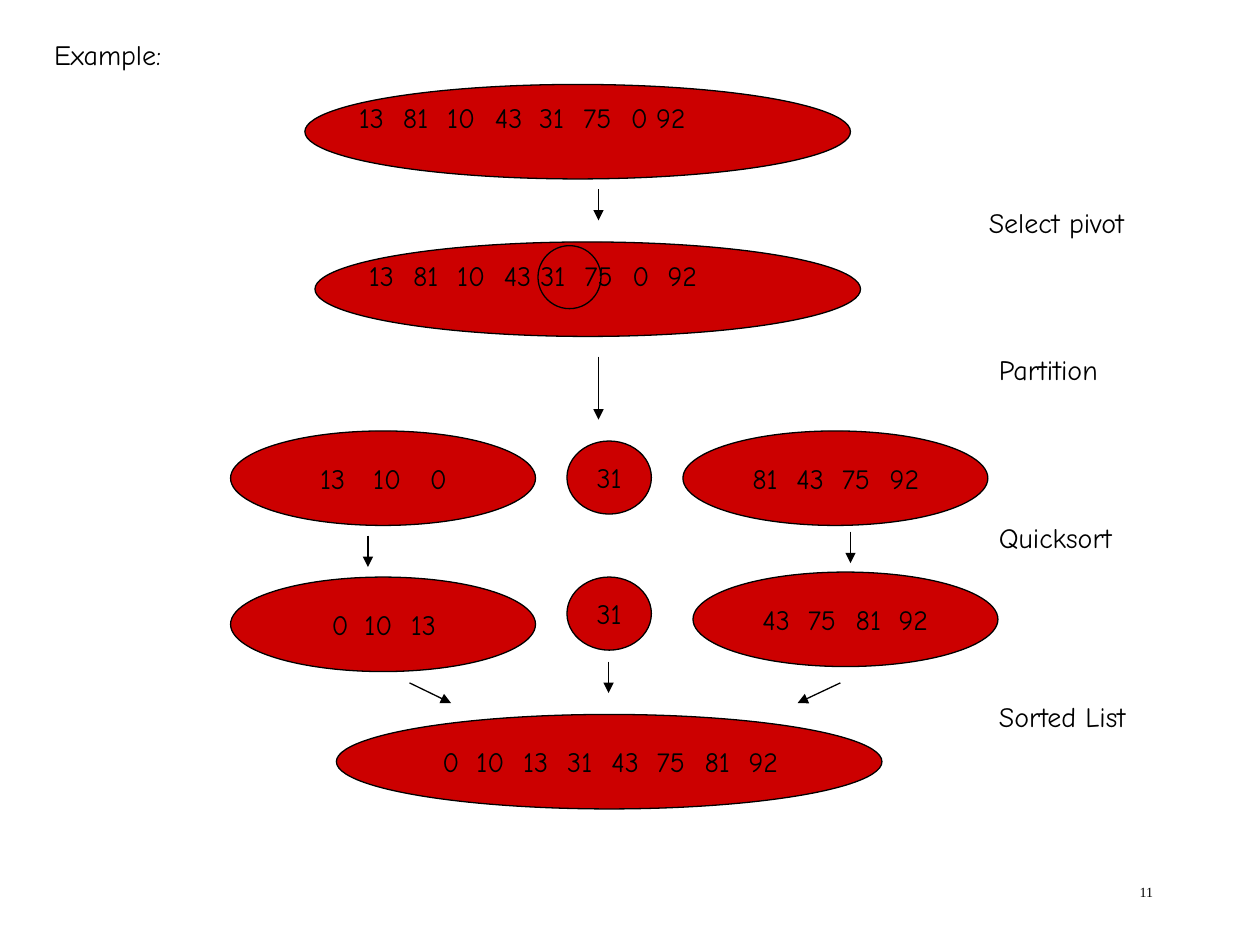
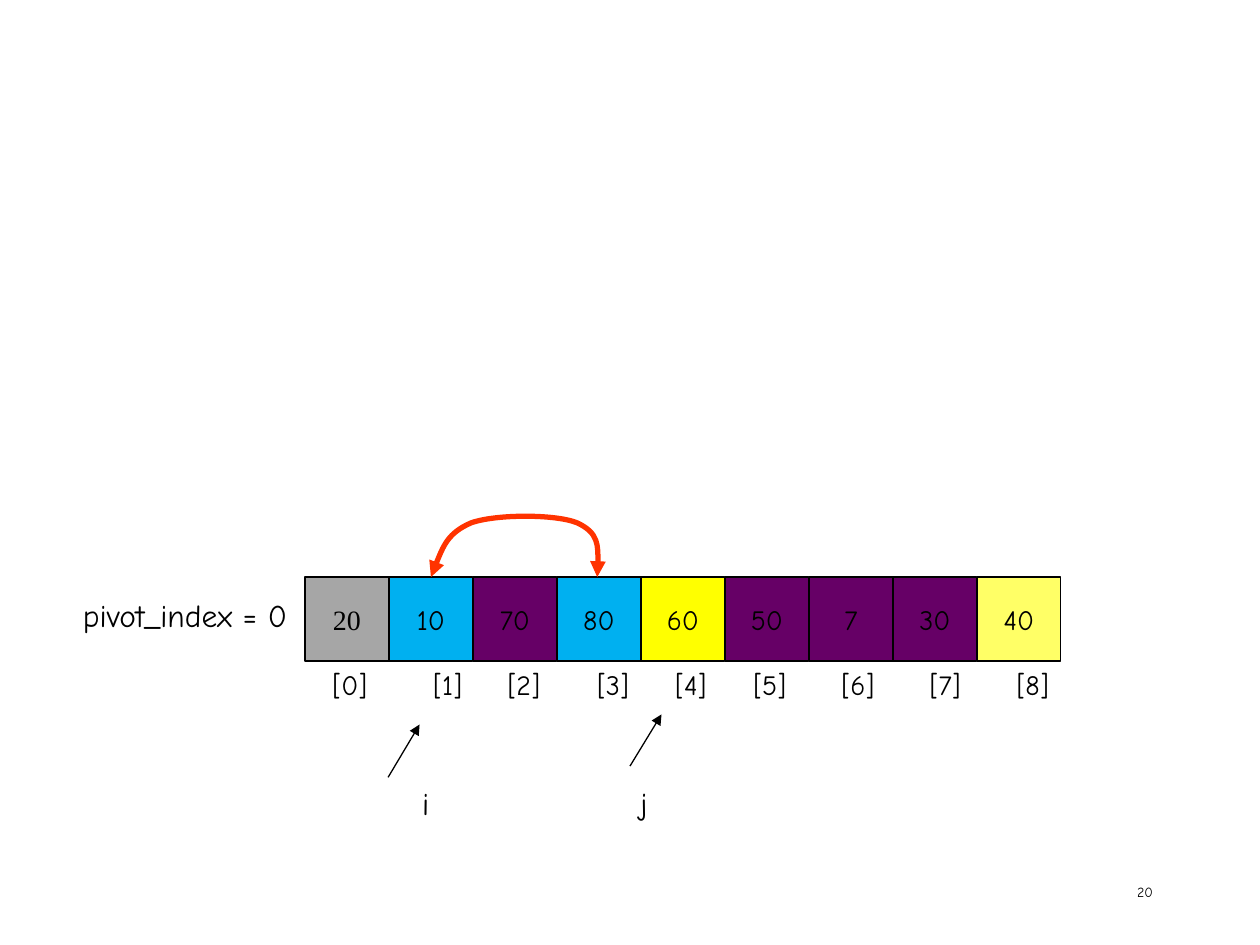
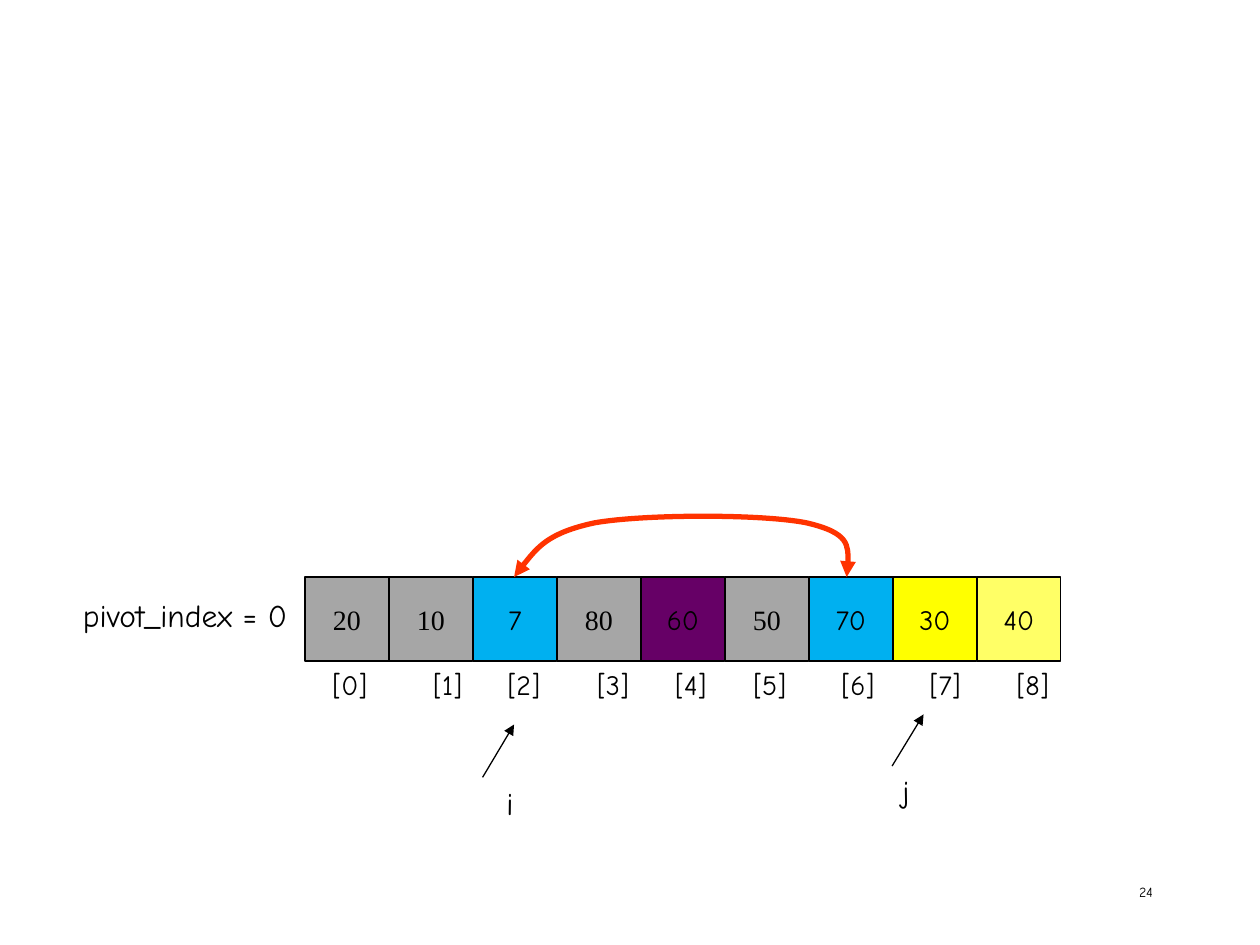
from itertools import chain

from lxml.etree import SubElement
from pptx import Presentation
from pptx.dml.color import RGBColor
from pptx.enum.shapes import MSO_CONNECTOR, MSO_SHAPE
from pptx.enum.text import MSO_ANCHOR, MSO_AUTO_SIZE, PP_ALIGN
from pptx.oxml.ns import qn
from pptx.util import Inches, Pt

THEME = {
    "font": "Comic Neue",
    "serif": "Times New Roman",
    "text": Pt(16),
    "label": Pt(18),
    "number": Pt(8),
    "thin": Pt(0.75),
    "thick": Pt(3),
    "ink": RGBColor.from_string("000000"),
    "list": RGBColor.from_string("CC0000"),
    "swap_arrow": RGBColor.from_string("FF3300"),
    "done": RGBColor.from_string("A6A6A6"),
    "swap": RGBColor.from_string("00B0F0"),
    "open": RGBColor.from_string("660066"),
    "current": RGBColor.from_string("FFFF00"),
    "last": RGBColor.from_string("FFFF66"),
}


def write(shape, text, size="text", font="font", align=PP_ALIGN.LEFT,
          anchor=MSO_ANCHOR.TOP, wrap=True, indent=0.1, stops=()):
    frame = shape.text_frame
    frame_format = {
        "auto_size": MSO_AUTO_SIZE.NONE,
        "word_wrap": wrap,
        "vertical_anchor": anchor,
        "margin_left": Inches(indent),
        "margin_right": Inches(0 if stops else 0.1),
        "margin_top": Inches(0.05),
        "margin_bottom": Inches(0.05),
    }
    for name, value in frame_format.items():
        setattr(frame, name, value)
    paragraph = frame.paragraphs[0]
    paragraph.alignment = align
    if stops:
        tab_list = SubElement(paragraph._p.get_or_add_pPr(), qn("a:tabLst"))
        for stop in stops[1:]:
            SubElement(tab_list, qn("a:tab"), pos=str(Inches(stop - stops[0])), algn="l")
    run = paragraph.add_run()
    run.text = "\t".join(text.split()) if stops else text
    for name, value in {"name": THEME[font], "size": THEME[size]}.items():
        setattr(run.font, name, value)
    run.font.color.rgb = THEME["ink"]


def draw_line(shape, color, width, ends=()):
    shape.line.width = THEME[width]
    shape.line.color.rgb = THEME[color]
    properties = shape._element.spPr
    for end in ends:
        SubElement(properties.find(qn("a:ln")), qn(f"a:{end}"), type="triangle")
    SubElement(properties, qn("a:effectLst"))


presentation = Presentation()
presentation.slide_width = Inches(10)
presentation.slide_height = Inches(7.5)

example = presentation.slides.add_slide(presentation.slide_layouts[5])
title = example.shapes.title
for name, value in {"left": 0.33, "top": 0.25, "width": 1.92, "height": 0.37}.items():
    setattr(title, name, Inches(value))
write(title, "Example:")

WIDE, HALF, PIVOT, MARK = (4.33, 0.75), (2.42, 0.75), (0.67, 0.58), (0.5, 0.5)
ellipses = [
    (2.42, 0.67, WIDE, "", ()),
    (2.5, 1.92, WIDE, "", ()),
    (4.27, 1.95, MARK, "", ()),
    (1.83, 3.42, HALF, "13 10 0", (2.54, 2.96, 3.41)),
    (4.5, 3.5, PIVOT, "31", ()),
    (5.42, 3.42, HALF, "81 43 75 92", (5.97, 6.32, 6.68, 7.06)),
    (1.83, 4.58, HALF, "0 10 13", (2.63, 2.89, 3.26)),
    (4.5, 4.58, PIVOT, "31", ()),
    (5.5, 4.54, HALF, "43 75 81 92", (6.05, 6.41, 6.79, 7.13)),
    (2.67, 5.67, WIDE, "0 10 13 31 43 75 81 92",
     (3.51, 3.78, 4.15, 4.5, 4.85, 5.21, 5.59, 5.94)),
]
for left, top, (width, height), numbers, stops in ellipses:
    ellipse = example.shapes.add_shape(
        MSO_SHAPE.OVAL, Inches(left), Inches(top), Inches(width), Inches(height))
    ellipse.fill.solid()
    ellipse.fill.fore_color.rgb = THEME["list"]
    draw_line(ellipse, "ink", "thin")
    if stops:
        text_left = left + width * 0.146
        write(ellipse, numbers, anchor=MSO_ANCHOR.MIDDLE,
              indent=stops[0] - text_left, stops=stops)
    elif numbers:
        write(ellipse, numbers, align=PP_ALIGN.CENTER, anchor=MSO_ANCHOR.MIDDLE, wrap=False)

captions = [
    (2.75, 0.75, 4.17, "13 81 10 43 31 75 0 92",
     (2.85, 3.2, 3.55, 3.93, 4.28, 4.63, 5.01, 5.21)),
    (2.83, 2, 4, "13 81 10 43 31 75 0 92",
     (2.93, 3.28, 3.63, 4, 4.29, 4.64, 5.02, 5.3)),
    (7.75, 1.58, 2.5, "Select pivot", ()),
    (7.83, 2.75, 2.5, "Partition", ()),
    (7.83, 4.08, 2.5, "Quicksort", ()),
    (7.83, 5.5, 2.08, "Sorted List", ()),
]
for left, top, width, text, stops in captions:
    caption = example.shapes.add_textbox(
        Inches(left), Inches(top), Inches(width), Inches(0.37))
    write(caption, text, stops=stops)

example_arrows = [
    (4.75, 1.5, 4.75, 1.75),
    (4.75, 2.83, 4.75, 3.33),
    (2.92, 4.25, 2.92, 4.5),
    (6.75, 4.22, 6.75, 4.47),
    (3.25, 5.42, 3.58, 5.58),
    (6.67, 5.42, 6.33, 5.58),
    (4.83, 5.25, 4.83, 5.5),
]

CELL = 2 / 3
ROW_LEFT, ROW_TOP = 2.42, 4.58
INDEX_STOPS = (2.64, 3.44, 4.03, 4.74, 5.36, 5.98, 6.68, 7.38, 8.07)
CURVE = [(0, 0.5), (0.05, 0.32), (0.1, 0.15), (0.24, 0.07), (0.39, 0),
         (0.74, 0), (0.87, 0.07), (1, 0.15), (1, 0.32), (0.99, 0.5)]
steps = [
    {
        "values": [20, 10, 70, 80, 60, 50, 7, 30, 40],
        "states": "done swap open swap current open open open last",
        "swap": (3.42, 2 * CELL),
        "pointers": [("i", 2.33, 6.17, 3.17, 1.02), ("j", 4.5, 6.17, 2.33, 0.58)],
        "arrows": [(5, 6.08, 5.25, 5.67), (3.08, 6.17, 3.33, 5.75)],
    },
    {
        "values": [20, 10, 7, 80, 60, 50, 70, 30, 40],
        "states": "done done swap done open done swap current last",
        "swap": (4.08, 4 * CELL),
        "pointers": [("i", 3, 6.17, 3.17, 1.02), ("j", 6.58, 6.08, 2.33, 0.58)],
        "arrows": [(7.08, 6.08, 7.33, 5.67), (3.83, 6.17, 4.08, 5.75)],
    },
]
slide_arrows = [(example, example_arrows)]
for step in steps:
    slide = presentation.slides.add_slide(presentation.slide_layouts[6])
    slide_arrows.append((slide, step["arrows"]))

    for index, (value, state) in enumerate(zip(step["values"], step["states"].split())):
        cell = slide.shapes.add_shape(
            MSO_SHAPE.RECTANGLE, Inches(ROW_LEFT + index * CELL), Inches(ROW_TOP),
            Inches(CELL), Inches(CELL))
        cell.fill.solid()
        cell.fill.fore_color.rgb = THEME[state]
        draw_line(cell, "ink", "thin")
        write(cell, str(value), font="serif" if state == "done" else "font",
              align=PP_ALIGN.CENTER, anchor=MSO_ANCHOR.MIDDLE, wrap=False)

    pivot_label = slide.shapes.add_textbox(
        Inches(0.56), Inches(4.68), Inches(1.82), Inches(0.4))
    write(pivot_label, "pivot_index = 0", size="label", wrap=False)
    for text, left, top, width, indent in step["pointers"]:
        pointer = slide.shapes.add_textbox(
            Inches(left), Inches(top), Inches(width), Inches(0.4))
        write(pointer, text, size="label", indent=indent)

    swap_left, swap_width = step["swap"]
    points = [(Inches(swap_left + x * swap_width), Inches(4.08 + y)) for x, y in CURVE]
    builder = slide.shapes.build_freeform(*points[0])
    builder.add_line_segments(points[1:], close=False)
    swap_arrow = builder.convert_to_shape()
    swap_arrow.fill.background()
    segments = list(swap_arrow._element.iter(qn("a:lnTo")))
    outline = segments[0].getparent()
    for start in range(0, len(segments), 3):
        curve = SubElement(outline, qn("a:cubicBezTo"))
        curve.extend(chain.from_iterable(map(list, segments[start:start + 3])))
    for segment in segments:
        outline.remove(segment)
    draw_line(swap_arrow, "swap_arrow", "thick", ("headEnd", "tailEnd"))

    indexes = slide.shapes.add_textbox(
        Inches(2.54), Inches(5.25), Inches(6.1), Inches(0.37))
    write(indexes, " ".join(f"[{index}]" for index in range(9)), stops=INDEX_STOPS)

for slide, arrows in slide_arrows:
    for ends in arrows:
        arrow = slide.shapes.add_connector(MSO_CONNECTOR.STRAIGHT, *map(Inches, ends))
        draw_line(arrow, "ink", "thin", ("tailEnd",))

numbers = [("11", "serif"), ("20", "font"), ("24", "font")]
for slide, (number, font) in zip(presentation.slides, numbers):
    footer = slide.shapes.add_textbox(
        Inches(7.17), Inches(6.83), Inches(2.08), Inches(0.5))
    write(footer, number, size="number", font=font, align=PP_ALIGN.RIGHT,
          anchor=MSO_ANCHOR.MIDDLE)

presentation.save("out.pptx")
